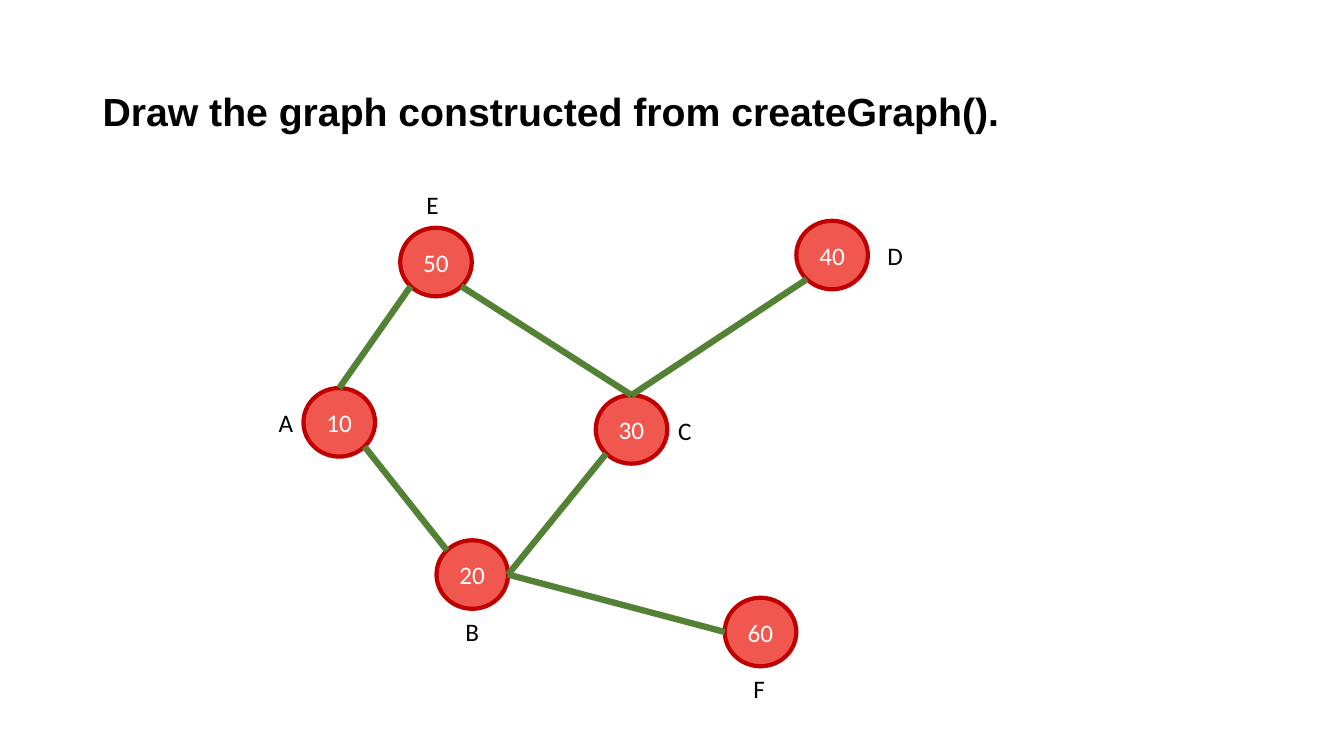
from math import cos, radians, sin

from pptx import Presentation
from pptx.dml.color import RGBColor
from pptx.enum.shapes import MSO_CONNECTOR as Connector, MSO_SHAPE as Shape
from pptx.enum.text import MSO_ANCHOR as Anchor, MSO_AUTO_SIZE as AutoSize, PP_ALIGN as Align
from pptx.oxml.ns import qn
from pptx.util import Inches, Pt
from lxml.etree import SubElement

WHITE = RGBColor(0xFF, 0xFF, 0xFF)
BLACK = RGBColor(0x00, 0x00, 0x00)
CORAL = RGBColor(0xF0, 0x58, 0x4F)
CRIMSON = RGBColor(0xC0, 0x00, 0x00)
GREEN = RGBColor(0x54, 0x82, 0x35)

COLUMNS, ROWS = 133.33, 75
NODE_WIDTH, NODE_HEIGHT = 7.1, 6.8
LABEL_WIDTH, LABEL_HEIGHT = 3.5, 4

RIGHT, BOTTOM_RIGHT, BOTTOM_LEFT, LEFT, TOP_LEFT, TOP = 0, 45, 135, 180, 225, 270

NODES = {
    "A": ("10", (33.65, 41.9), (-5.3, 0)),
    "B": ("20", (46.85, 57), (0, 5.6)),
    "C": ("30", (62.65, 42.6), (5.3, 0.1)),
    "D": ("40", (82.55, 25.3), (6.25, 0)),
    "E": ("50", (43.25, 26), (-0.35, -5.7)),
    "F": ("60", (75.45, 62.7), (-0.15, 5.6)),
}
EDGES = [
    ("A", BOTTOM_RIGHT, "B", TOP_LEFT),
    ("A", TOP, "E", BOTTOM_LEFT),
    ("C", BOTTOM_LEFT, "B", RIGHT),
    ("F", LEFT, "B", RIGHT),
    ("D", BOTTOM_LEFT, "C", TOP),
    ("E", BOTTOM_RIGHT, "C", TOP),
]


class GraphSlide:
    """Draws graph elements on a slide, placed by grid columns and rows."""

    def __init__(self, deck):
        self.page = deck.slides.add_slide(deck.slide_layouts[6])
        self.column = deck.slide_width / COLUMNS
        self.row = deck.slide_height / ROWS

    def place(self, x, y):
        return round(x * self.column), round(y * self.row)

    def centred(self, centre, width, height):
        x, y = centre
        return *self.place(x - width / 2, y - height / 2), *self.place(width, height)

    def add_text(self, box, text, color, size=18, font="Calibri", bold=False, align=Align.CENTER):
        frame = box.text_frame
        frame.vertical_anchor = Anchor.MIDDLE
        para = frame.paragraphs[0]
        para.alignment = align
        span = para.add_run()
        span.text = text
        span.font.name = font
        span.font.size = Pt(size)
        span.font.bold = bold
        span.font.color.rgb = color
        return para

    def title(self, text, x, y, width, height):
        box = self.page.shapes.add_textbox(*self.place(x, y), *self.place(width, height))
        box.text_frame.word_wrap = True
        para = self.add_text(box, text, BLACK, 28, "Arial", True, Align.LEFT)
        para.line_spacing = 0.9

    def node(self, value, centre):
        bounds = self.centred(centre, NODE_WIDTH, NODE_HEIGHT)
        circle = self.page.shapes.add_shape(Shape.OVAL, *bounds)
        circle.shadow.inherit = False
        circle.fill.solid()
        circle.fill.fore_color.rgb = CORAL
        circle.line.color.rgb = CRIMSON
        circle.line.width = Pt(3)
        self.add_text(circle, value, WHITE)

    def label(self, name, centre):
        box = self.page.shapes.add_textbox(*self.centred(centre, LABEL_WIDTH, LABEL_HEIGHT))
        box.text_frame.word_wrap = False
        box.text_frame.auto_size = AutoSize.SHAPE_TO_FIT_TEXT
        self.add_text(box, name, BLACK)

    def rim(self, name, angle):
        x, y = NODES[name][1]
        turn = radians(angle)
        return self.place(x + NODE_WIDTH / 2 * cos(turn), y + NODE_HEIGHT / 2 * sin(turn))

    def edge(self, source, source_angle, target, target_angle):
        start, end = self.rim(source, source_angle), self.rim(target, target_angle)
        line = self.page.shapes.add_connector(Connector.STRAIGHT, *start, *end)
        line.line.color.rgb = GREEN
        line.line.width = Pt(4.5)
        SubElement(line._element.spPr, qn("a:effectLst"))


def main():
    deck = Presentation()
    deck.slide_width, deck.slide_height = Inches(13.33), Inches(7.5)
    graph = GraphSlide(deck)
    for value, centre, _ in NODES.values():
        graph.node(value, centre)
    for edge in EDGES:
        graph.edge(*edge)
    for name, (_, (x, y), (across, down)) in NODES.items():
        graph.label(name, (x + across, y + down))
    graph.title("Draw the graph constructed from createGraph().", 9.2, 4, 115, 14.5)
    deck.save("out.pptx")


if __name__ == "__main__":
    main()
